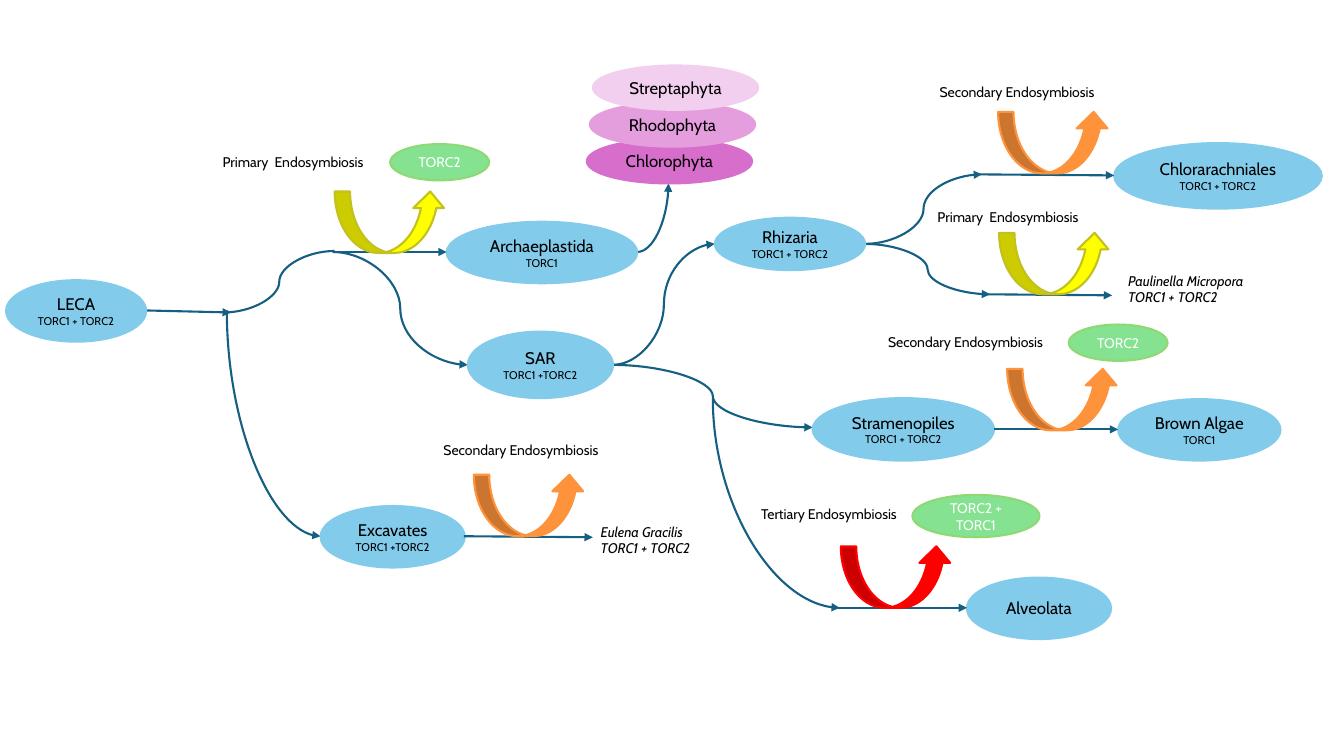
from lxml.etree import SubElement
from pptx import Presentation
from pptx.dml.color import RGBColor
from pptx.enum.shapes import MSO_CONNECTOR as LINK, MSO_SHAPE as SHAPE
from pptx.enum.text import MSO_ANCHOR as ANCHOR, PP_ALIGN as ALIGN
from pptx.oxml.ns import qn
from pptx.util import Inches, Pt

COLORS = {
    "clade": "83CBEB", "branch": "156082", "ink": "000000", "paper": "FFFFFF",
    "torc": "84E291", "torc edge": "8ED973",
    "Chlorophyta": "D86ECC", "Rhodophyta": "E59EDD", "Streptaphyta": "F2CFEE",
    "Primary": "FFFF00", "Primary edge": "C2C11E",
    "Secondary": "FF933B", "Tertiary": "FF0000",
}
BOTH = "TORC1 + TORC2"
BOTH_TIGHT = "TORC1 +TORC2"
ARROW_W, ARROW_H = 1.1, 0.61

# Clade name: box (left, top, width, height), TORC complexes
CLADES = {
    "LECA": ((0.06, 2.78, 1.39, 0.61), BOTH),
    "SAR": ((4.64, 3.29, 1.44, 0.66), BOTH_TIGHT),
    "Archaeplastida": ((4.43, 2.2, 1.89, 0.61), "TORC1"),
    "Excavates": ((3.18, 5.02, 1.43, 0.61), BOTH_TIGHT),
    "Stramenopiles": ((8.06, 3.95, 1.8, 0.62), BOTH),
    "Brown Algae": ((11.09, 3.96, 1.61, 0.61), "TORC1"),
    "Alveolata": ((9.59, 5.73, 1.43, 0.61), None),
    "Rhizaria": ((7.09, 2.16, 1.49, 0.52), BOTH),
    "Chlorarachniales": ((11.05, 1.42, 2.06, 0.65), BOTH),
}

# Order, arrow corner, label corner, track start and end, lost TORC box and text
EVENTS = [
    ("Primary", (3.32, 1.9), (2.11, 1.47), (3.3, 2.5), (4.43, 2.5),
     (3.87, 1.43, 0.98, 0.36), "TORC2"),
    ("Secondary", (9.99, 3.66), (8.71, 3.26), (9.86, 4.26), (11.09, 4.26),
     (10.6, 3.22, 0.98, 0.36), "TORC2"),
    ("Secondary", (4.7, 4.71), (4.3, 4.33), (4.6, 5.32), (5.88, 5.33), None, None),
    ("Tertiary", (8.34, 5.42), (7.45, 4.97), (8.26, 6.03), (9.59, 6.03),
     (9.05, 4.91, 1.26, 0.42), "TORC2 + TORC1"),
    ("Primary", (9.91, 2.31), (9.2, 2.02), (9.79, 2.92), (11.03, 2.93), None, None),
    ("Secondary", (9.9, 1.11), (9.22, 0.78), (9.7, 1.73), (11.05, 1.74), None, None),
]

# S-shaped branches: start, end, arrowhead
S_BRANCHES = [
    ((6.08, 3.62), (7.09, 2.42), True),
    ((3.3, 2.5), (4.64, 3.62), True),
    ((2.22, 3.1), (3.32, 2.49), False),
    ((6.08, 3.62), (8.06, 4.24), True),
    ((8.58, 2.42), (9.74, 1.73), True),
    ((8.58, 2.42), (9.82, 2.92), True),
]
# Branches that drop first and then turn right
DROP_BRANCHES = [((2.25, 3.08), (3.18, 5.32)), ((7.07, 3.95), (8.33, 6.03))]


def color(name):
    return RGBColor.from_string(COLORS[name])


def write(frame, lines, ink="ink", align=ALIGN.LEFT, italic=None):
    """Fill a text frame with (text, size) lines."""
    for i, (text, size) in enumerate(lines):
        paragraph = frame.paragraphs[0] if i == 0 else frame.add_paragraph()
        paragraph.alignment = align
        run = paragraph.add_run()
        run.text = text
        for key, value in {"name": "Cabin", "size": Pt(size), "italic": italic}.items():
            setattr(run.font, key, value)
        run.font.color.rgb = color(ink)


def solid(slide, preset, box, fill, edge):
    shape = slide.shapes.add_shape(preset, *map(Inches, box))
    shape.shadow.inherit = False
    shape.fill.solid()
    shape.fill.fore_color.rgb = color(fill)
    shape.line.color.rgb = color(edge)
    shape.line.width = Pt(1.5)
    return shape


def oval(slide, box, lines, fill, edge=None, ink="ink"):
    frame = solid(slide, SHAPE.OVAL, box, fill, edge or fill).text_frame
    frame.word_wrap = True
    frame.vertical_anchor = ANCHOR.MIDDLE
    write(frame, lines, ink, ALIGN.CENTER)


def note(slide, box, lines, italic=None, wrap=True):
    frame = slide.shapes.add_textbox(*map(Inches, box)).text_frame
    frame.word_wrap = wrap
    write(frame, lines, italic=italic)


def branch(slide, start, end, kind=LINK.STRAIGHT, arrow=True):
    link = slide.shapes.add_connector(kind, *map(Inches, (*start, *end)))
    link.line.color.rgb = color("branch")
    link.line.width = Pt(1.5)
    if arrow:
        SubElement(link.line._get_or_add_ln(), qn("a:tailEnd"), type="triangle")
    SubElement(link._element.spPr, qn("a:effectLst"))
    return link


def quarter_branch(slide, start, end, drop=False):
    """Single bend; a dropping one is turned a quarter about its centre."""
    if drop:
        (x1, y1), (x2, y2) = start, end
        mid_x, mid_y = (x1 + x2) / 2, (y1 + y2) / 2
        half_w, half_h = (y2 - y1) / 2, (x2 - x1) / 2
        start = mid_x + half_w, mid_y - half_h
        end = mid_x - half_w, mid_y + half_h
    properties = branch(slide, start, end, LINK.CURVE)._element.spPr
    properties.find(qn("a:prstGeom")).set("prst", "curvedConnector2")
    if drop:
        properties.find(qn("a:xfrm")).set("rot", str(270 * 60000))


def endosymbiosis(slide, order, corner, label, start, end, torc_box, torc):
    """Track with its curved arrow, label and any lost TORC."""
    branch(slide, start, end)
    edge = "Primary edge" if order == "Primary" else order
    swoop = solid(slide, SHAPE.CURVED_UP_ARROW, (*corner, ARROW_W, ARROW_H), order, edge)
    swoop.adjustments[2] = 0.269
    gap = "  " if order == "Primary" else " "
    note(slide, (*label, 2.06, 0.27), [(f"{order}{gap}Endosymbiosis", 10)])
    if torc:
        oval(slide, torc_box, [(torc, 10)], "torc", "torc edge", "paper")


def plant_stack(slide, box):
    """Overlapping ovals, climbing from the bottom of the box."""
    left, bottom, width, height = box
    for i, name in enumerate(("Chlorophyta", "Rhodophyta", "Streptaphyta")):
        oval(slide, (left + 0.03 * i, bottom - 0.365 * i, width, height), [(name, 12)], name)


def clade_tree(slide):
    branch(slide, (1.45, 3.08), (2.29, 3.1))
    for start, end, arrow in S_BRANCHES:
        branch(slide, start, end, LINK.CURVE, arrow)
    quarter_branch(slide, (6.32, 2.5), (6.63, 1.82))
    for start, end in DROP_BRANCHES:
        quarter_branch(slide, start, end, drop=True)
    for name, (box, complexes) in CLADES.items():
        oval(slide, box, [(name, 12)] + ([(complexes, 8)] if complexes else []), "clade")


def main():
    deck = Presentation()
    deck.slide_width, deck.slide_height = Inches(13.33), Inches(7.5)
    slide = deck.slides.add_slide(deck.slide_layouts[6])
    clade_tree(slide)
    plant_stack(slide, (5.82, 1.38, 1.64, 0.44))
    for event in EVENTS:
        endosymbiosis(slide, *event)
    # Species at the ends of two tracks
    note(slide, (5.86, 5.14, 1.19, 0.44), [("Eulena Gracilis", 10), (BOTH, 10)], True, False)
    note(slide, (11.09, 2.65, 1.49, 0.44), [("Paulinella Micropora", 10), (BOTH, 10)], True)
    deck.save("out.pptx")


if __name__ == "__main__":
    main()
